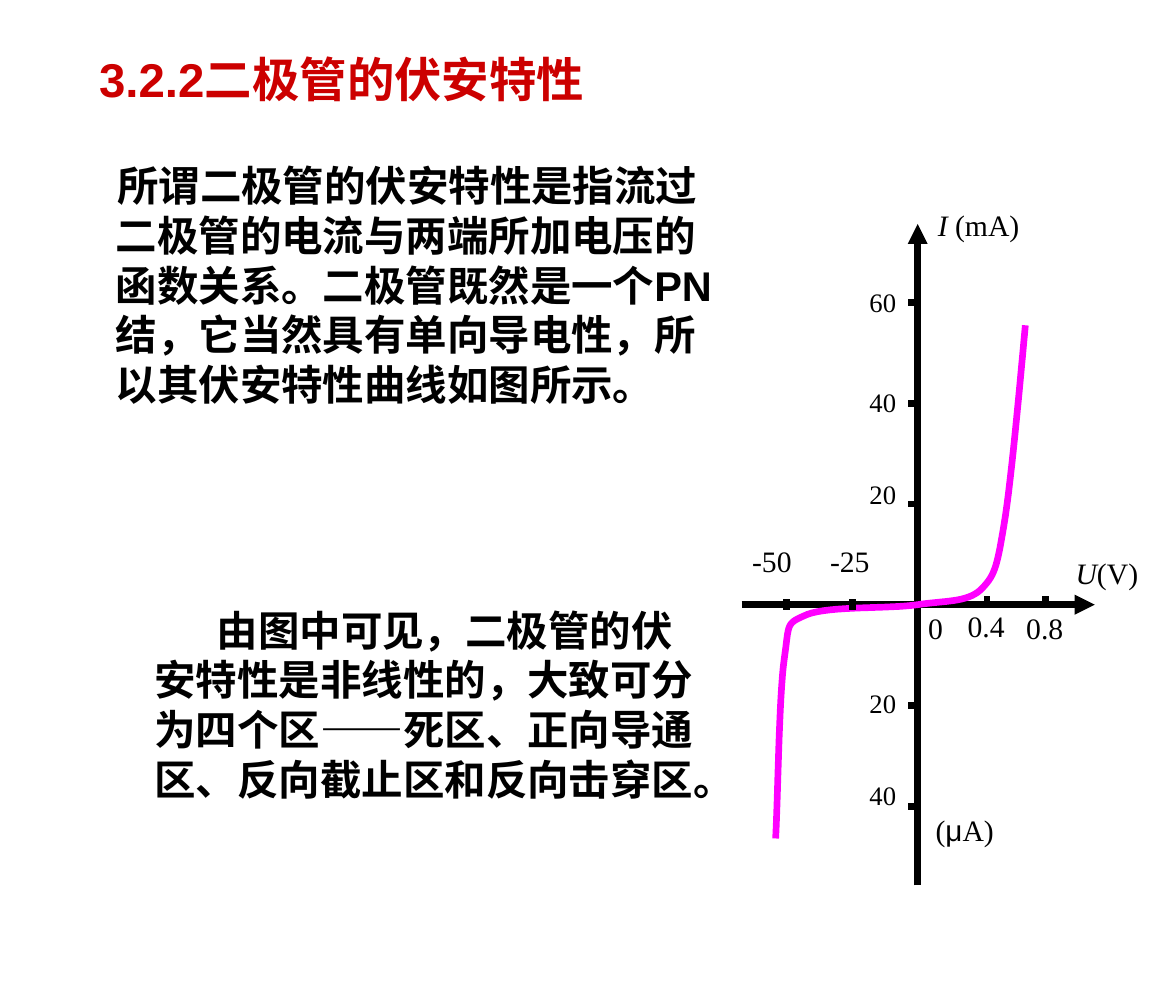
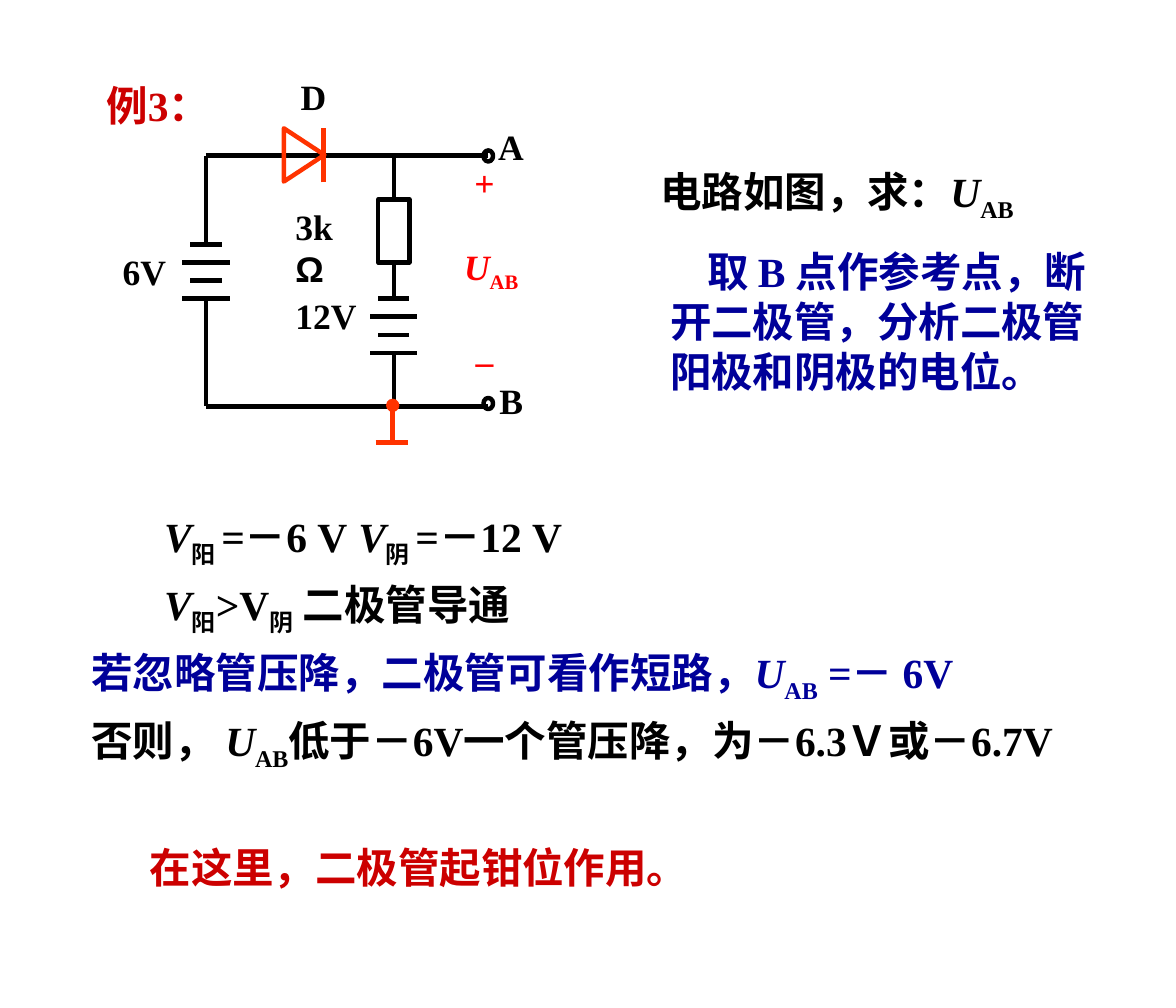
from dataclasses import dataclass
from typing import Optional

from lxml.etree import SubElement
from pptx import Presentation
from pptx.dml.color import RGBColor
from pptx.enum.shapes import MSO_CONNECTOR, MSO_SHAPE
from pptx.enum.text import MSO_ANCHOR, PP_ALIGN
from pptx.oxml.ns import qn
from pptx.util import Pt

COLORS = {
    "heading": "CC0000",
    "ink": "000000",
    "answer": "000099",
    "curve": "FF00FF",
    "diode": "FF3300",
    "voltage": "FF0000",
}
SERIF, SANS = "Times New Roman", "Arial"
AXIS_WIDTH, WIRE_WIDTH = 4.5, 3


@dataclass(frozen=True)
class Span:
    text: str
    italic: bool = False
    sub: bool = False
    font: Optional[str] = None


@dataclass(frozen=True)
class Para:
    spans: tuple
    size: float = 28
    color: str = "ink"
    bold: bool = True
    font: str = SERIF
    align: PP_ALIGN = PP_ALIGN.LEFT
    left: float = 0
    indent: float = 0
    spacing: Optional[float] = None
    tab: Optional[float] = None


@dataclass(frozen=True)
class Box:
    x: float
    y: float
    width: float
    height: float
    paras: tuple
    anchor: MSO_ANCHOR = MSO_ANCHOR.TOP


@dataclass(frozen=True)
class Wire:
    x1: float
    y1: float
    x2: float
    y2: float
    color: str = "ink"
    width: float = WIRE_WIDTH
    head: Optional[str] = None
    tail: Optional[str] = None


@dataclass(frozen=True)
class Part:
    kind: MSO_SHAPE
    x: float
    y: float
    width: float
    height: float
    color: str = "ink"
    rotation: float = 0


def rgb(name: str) -> RGBColor:
    return RGBColor.from_string(COLORS[name])


def draw_box(slide, box: Box) -> None:
    frame = slide.shapes.add_textbox(Pt(box.x), Pt(box.y), Pt(box.width), Pt(box.height)).text_frame
    frame.word_wrap = True
    frame.vertical_anchor = box.anchor
    for index, para in enumerate(box.paras):
        paragraph = frame.add_paragraph() if index else frame.paragraphs[0]
        props = paragraph._p.get_or_add_pPr()
        props.set("marL", str(Pt(para.left)))
        props.set("indent", str(Pt(para.indent)))
        paragraph.alignment = para.align
        if para.spacing:
            paragraph.line_spacing = para.spacing
        if para.tab:
            tabs = SubElement(props, qn("a:tabLst"))
            SubElement(tabs, qn("a:tab"), pos=str(Pt(para.tab)), algn="l")
        for span in para.spans:
            run = paragraph.add_run()
            run.text = span.text
            run.font.name = span.font or para.font
            run.font.size = Pt(para.size)
            run.font.bold = para.bold
            run.font.italic = span.italic
            run.font.color.rgb = rgb(para.color)
            if span.sub:
                run._r.get_or_add_rPr().set("baseline", "-25000")


def draw_wire(slide, wire: Wire) -> None:
    connector = slide.shapes.add_connector(
        MSO_CONNECTOR.STRAIGHT, Pt(wire.x1), Pt(wire.y1), Pt(wire.x2), Pt(wire.y2))
    connector.line.color.rgb = rgb(wire.color)
    connector.line.width = Pt(wire.width)
    stroke = connector.line._get_or_add_ln()
    for tag, end in (("a:headEnd", wire.head), ("a:tailEnd", wire.tail)):
        if end:
            SubElement(stroke, qn(tag), type=end)
    SubElement(connector._element.spPr, qn("a:effectLst"))


def outline(shape, color: str, width: float) -> None:
    shape.shadow.inherit = False
    shape.fill.background()
    shape.line.color.rgb = rgb(color)
    shape.line.width = Pt(width)


def draw_part(slide, part: Part) -> None:
    shape = slide.shapes.add_shape(
        part.kind, Pt(part.x), Pt(part.y), Pt(part.width), Pt(part.height))
    shape.rotation = part.rotation
    outline(shape, part.color, WIRE_WIDTH)


def bezier(points: tuple, t: float) -> tuple:
    weights = ((1 - t) ** 3, 3 * t * (1 - t) ** 2, 3 * t * t * (1 - t), t ** 3)
    return tuple(sum(w * p[axis] for w, p in zip(weights, points)) for axis in (0, 1))


def draw_curve(slide, knots: list, steps: int = 16) -> None:
    trace = [bezier(tuple(knots[start:start + 4]), step / steps)
             for start in range(0, len(knots) - 1, 3)
             for step in range(1, steps + 1)]
    builder = slide.shapes.build_freeform(Pt(knots[0][0]), Pt(knots[0][1]))
    builder.add_line_segments([(Pt(x), Pt(y)) for x, y in trace], close=False)
    outline(builder.convert_to_shape(), "curve", AXIS_WIDTH)


def axis_label(slide, x: float, y: float, *spans: Span, size: float = 20, width: float = 80) -> None:
    draw_box(slide, Box(x, y, width, 32, (Para(spans, size=size, bold=False),)))


def circuit_label(slide, x: float, y: float, *spans: Span, color: str = "ink",
                  width: float = 65, align: PP_ALIGN = PP_ALIGN.LEFT) -> None:
    draw_box(slide, Box(x, y, width, 36, (Para(spans, size=24, color=color, align=align),)))


def draw_battery(slide, x: float, top: float) -> None:
    for plate in range(4):
        half = 16 if plate % 2 else 10.5
        y = top + 12.2 * plate
        draw_wire(slide, Wire(x - half, y, x + half, y))


def build_characteristic(slide) -> None:
    draw_box(slide, Box(59.8, 26, 674.6, 49.7, (
        Para((Span("3.2.2二极管的伏安特性"),), size=32, color="heading", font=SANS),), MSO_ANCHOR.BOTTOM))
    draw_box(slide, Box(44, 104.5, 453.5, 293, (
        Para((Span("所谓二极管的伏安特性是指流过二极管的电流与两端所加电压的函数关系。"
                   "二极管既然是一个PN结，它当然具有单向导电性，所以其伏安特性曲线如图所示。"),),
             font=SANS, left=27, indent=1),)))

    origin_x, origin_y, pitch = 619.2, 408.2, 68
    draw_wire(slide, Wire(500.4, origin_y, 738.7, origin_y, width=AXIS_WIDTH, tail="triangle"))
    draw_wire(slide, Wire(origin_x, 597.6, origin_x, 151.2, width=AXIS_WIDTH, tail="triangle"))
    draw_curve(slide, [
        (691.9, 219.6), (689.8, 241.9), (682.6, 324.7), (677.5, 354.2),
        (672.5, 384.5), (671, 388.8), (661.7, 398.2), (652.3, 406.8),
        (637.2, 405.4), (619.2, 408.2), (599.8, 411.1), (560.2, 409),
        (545, 414.7), (529.9, 421.2), (532.8, 419.8), (529.2, 445),
        (525.6, 470.2), (524.9, 540.7), (523.4, 566)])

    for tick_x, top in ((530.6, 404), (575.3, 404), (666, 402.5), (705.6, 402.5)):
        draw_wire(slide, Wire(tick_x, top + 7.5, tick_x, top, width=AXIS_WIDTH))
    for step in (-3, -2, -1, 1, 2):
        y = origin_y + pitch * step
        draw_wire(slide, Wire(origin_x - 6.5, y, origin_x, y, width=AXIS_WIDTH))

    for x, y, value in ((500.4, 363, "-50"), (553, 363, "-25"), (619.2, 408.2, "0"),
                        (645.8, 406.8, "0.4"), (685.4, 408.2, "0.8")):
        axis_label(slide, x, y, Span(value), width=50)
    for y, value in ((189.4, "60"), (257, "40"), (319, "20"), (460, "20"), (522, "40")):
        axis_label(slide, 579.6, y, Span(value), size=18, width=40)
    axis_label(slide, 718.6, 370.8, Span("U", italic=True), Span("(V)"), width=70)
    axis_label(slide, 625.7, 136, Span("I ", italic=True), Span("(mA)"))
    axis_label(slide, 624.2, 544.3, Span("("), Span("μ", font=SANS), Span("A)"))

    draw_box(slide, Box(97.2, 404.6, 381, 142, (
        Para((Span("由图中可见，二极管的伏安特性是非线性的，大致可分为四个区——死区、"
                   "正向导通区、反向截止区和反向击穿区。"),), indent=42),)))


def build_example(slide) -> None:
    voltage = (Span("U", italic=True), Span("AB", sub=True))
    potential = Span("V", italic=True)
    draw_box(slide, Box(64.8, 50.4, 115, 41, (
        Para((Span("例3："),), color="heading"),), MSO_ANCHOR.MIDDLE))
    draw_box(slide, Box(438.5, 108.7, 324, 45.4, (Para((Span("电路如图，求："),) + voltage),)))
    draw_box(slide, Box(445, 162.7, 317.5, 108, (
        Para((Span("取 B 点作参考点，断开二极管，分析二极管阳极和阴极的电位。"),),
             color="answer", indent=25),)))

    left_x, branch_x, terminal_x = 139, 265.7, 329
    top_y, bottom_y, cell_y, branch_cell_y = 105.1, 274.3, 164.9, 201.6
    plates = 3 * 12.2
    for wire in (
        Wire(left_x, top_y, terminal_x, top_y),
        Wire(left_x, bottom_y, terminal_x, bottom_y),
        Wire(left_x, top_y, left_x, cell_y),
        Wire(left_x, cell_y + plates, left_x, bottom_y),
        Wire(branch_x, top_y, branch_x, 134.6),
        Wire(branch_x, 177.1, branch_x, branch_cell_y),
        Wire(branch_x, branch_cell_y + plates, branch_x, bottom_y),
        Wire(218.2, 123.1, 218.2, 86.4, color="diode"),
        Wire(265, 273.6, 265, 298.8, color="diode", head="oval"),
        Wire(253.4, 298.8, 275, 298.8, color="diode"),
    ):
        draw_wire(slide, wire)
    draw_battery(slide, left_x, cell_y)
    draw_battery(slide, branch_x, branch_cell_y)
    for part in (
        Part(MSO_SHAPE.ISOSCELES_TRIANGLE, 187.2, 90.9, 36, 27.4, "diode", 90),
        Part(MSO_SHAPE.RECTANGLE, branch_x - 10.5, 134.6, 21, 42.5),
        Part(MSO_SHAPE.OVAL, 326.2, 101.5, 6.5, 7.5),
        Part(MSO_SHAPE.OVAL, 326.2, 268.6, 6.5, 7.5),
    ):
        draw_part(slide, part)

    for x, y, name in ((195.8, 46.8, "D"), (75.6, 164.9, "6V"), (192.2, 195.1, "12V"),
                       (329, 80.6, "A"), (329.8, 252, "B")):
        circuit_label(slide, x, y, Span(name))
    circuit_label(slide, 192.2, 134.6, Span("3k"), Span("Ω", font=SANS), width=54)
    circuit_label(slide, 306, 162, *voltage, color="voltage")
    for y, sign in ((105.1, "+"), (225.4, "–")):
        circuit_label(slide, 303.1, y, Span(sign), color="voltage", width=47.5, align=PP_ALIGN.CENTER)

    draw_box(slide, Box(54.7, 334, 761, 191, (
        Para((potential, Span("阳 ", sub=True), Span("=－6 V\t"), potential,
              Span("阴 ", sub=True), Span("=－12 V")), indent=49, spacing=1.2, tab=230),
        Para((potential, Span("阳", sub=True), Span(">V"), Span("阴", sub=True),
              Span(" 二极管导通")), indent=49, spacing=1.2),
        Para((Span("若忽略管压降，二极管可看作短路，"),) + voltage + (Span(" =－ 6V"),),
             color="answer", spacing=1.2),
        Para((Span("否则， "),) + voltage + (Span("低于－6V一个管压降，为－6.3Ｖ或－6.7V"),),
             spacing=1.2))))
    draw_box(slide, Box(74.9, 561.6, 602, 44.6, (
        Para((Span("在这里，二极管起钳位作用。"),), color="heading", indent=19, spacing=1.1),)))


def main() -> None:
    deck = Presentation()
    deck.slide_width, deck.slide_height = Pt(793.5), Pt(680.4)
    for build in (build_characteristic, build_example):
        build(deck.slides.add_slide(deck.slide_layouts[6]))
    deck.save("out.pptx")


if __name__ == "__main__":
    main()
